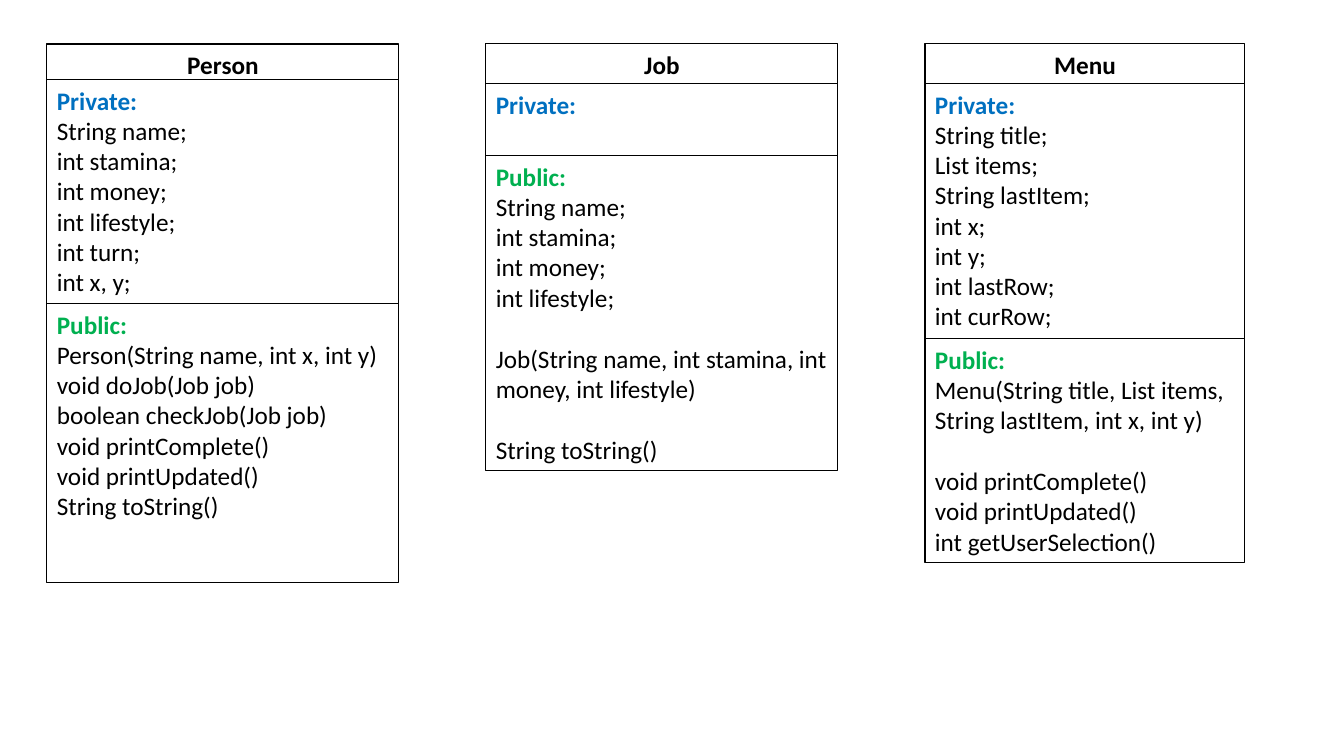
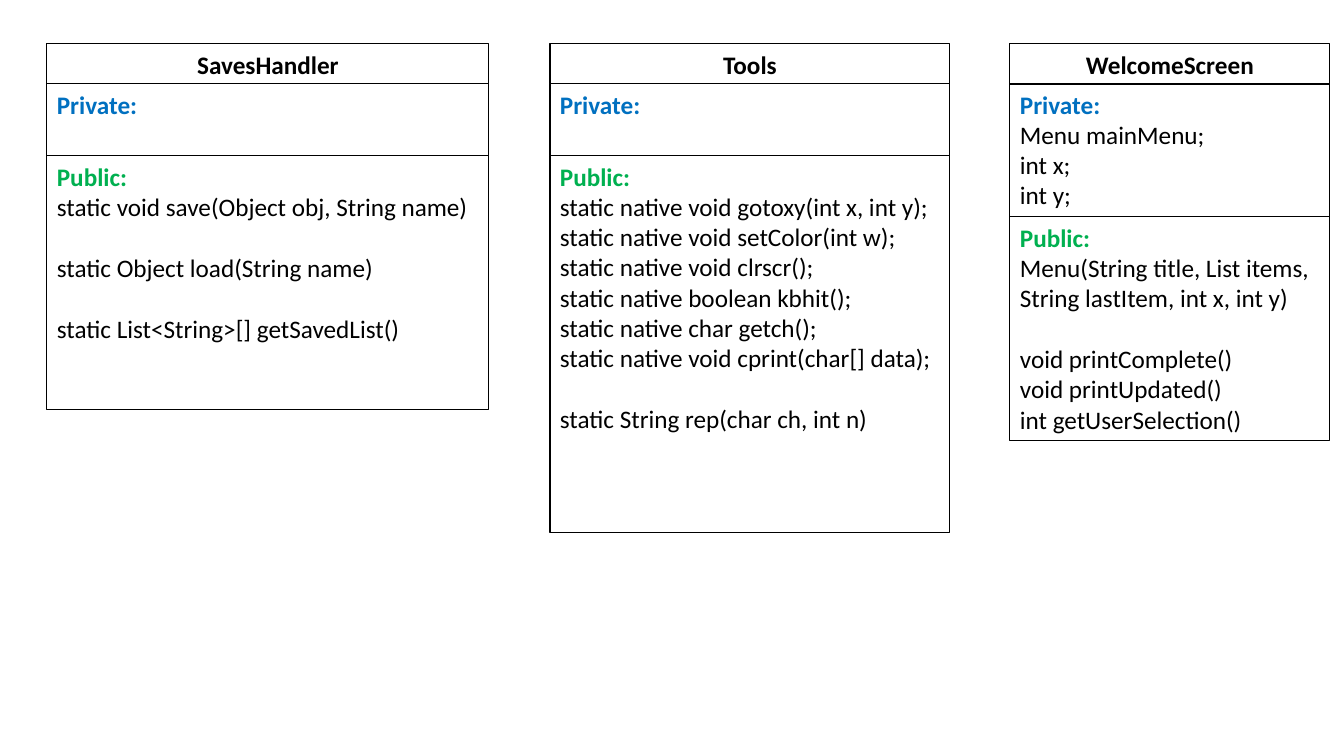
from pptx import Presentation
from pptx import util as u
from pptx.dml.color import RGBColor
from pptx.enum import shapes, text

PX = 914400 / 100.8  # EMU in one pixel
COLORS = {"ink": "000000", "private": "0070C0", "public": "00B050"}
FONT, SIZE = "Calibri", 18
BLANK_LINE = 22  # points, one line of text at SIZE
TOP = 44
GAP = ""  # marks one line of space above the next member


def px(value):
    return u.Emu(round(value * PX))


def color(name):
    return RGBColor.from_string(COLORS[name])


def style(para, ink, bold):
    para.font.name, para.font.size = FONT, u.Pt(SIZE)
    para.font.color.rgb, para.font.bold = color(ink), bold


def add_cell(group, left, top, width, height, heading, ink, members=(), centred=False):
    """One outlined compartment: a bold heading and its member lines."""
    box = group.shapes.add_shape(shapes.MSO_SHAPE.RECTANGLE,
                                 px(left), px(top), px(width), px(height))
    box.shadow.inherit = False
    box.fill.background()
    box.line.color.rgb, box.line.width = color("ink"), u.Pt(0.75)
    frame = box.text_frame
    frame.word_wrap = True
    frame.vertical_anchor = text.MSO_ANCHOR.TOP

    para = frame.paragraphs[0]
    para.text = heading
    para.alignment = text.PP_ALIGN.CENTER if centred else text.PP_ALIGN.LEFT
    style(para, ink, True)

    space = 0
    for member in members:
        if member == GAP:
            space = BLANK_LINE
            continue
        para = frame.add_paragraph()
        para.text = member
        para.alignment = text.PP_ALIGN.LEFT
        para.space_before = u.Pt(space)
        style(para, "ink", False)
        space = 0


def add_class(page, name, left, width, heights, private, public):
    """One class diagram: name, private and public compartments, stacked."""
    group = page.shapes.add_group_shape()
    title_height, private_height, public_height = heights
    top = TOP
    add_cell(group, left, top, width, title_height, name, "ink", centred=True)
    top += title_height
    add_cell(group, left, top, width, private_height, "Private:", "private", private)
    top += private_height
    add_cell(group, left, top, width, public_height, "Public:", "public", public)


MENU_METHODS = [
    "Menu(String title, List items, String lastItem, int x, int y)", GAP,
    "void printComplete()", "void printUpdated()", "int getUserSelection()",
]

# Each class: name, left, width, compartment heights, private and public members
PAGES = [
    [
        ("Person", 47, 352, (36, 224, 279),
         ["String name;", "int stamina;", "int money;", "int lifestyle;",
          "int turn;", "int x, y;"],
         ["Person(String name, int x, int y)", "void doJob(Job job)",
          "boolean checkJob(Job job)", "void printComplete()",
          "void printUpdated()", "String toString()"]),
        ("Job", 486, 352, (40, 72, 315),
         [],
         ["String name;", "int stamina;", "int money;", "int lifestyle;", GAP,
          "Job(String name, int stamina, int money, int lifestyle)", GAP,
          "String toString()"]),
        ("Menu", 925, 320, (40, 255, 224),
         ["String title;", "List items;", "String lastItem;", "int x;",
          "int y;", "int lastRow;", "int curRow;"],
         MENU_METHODS),
    ],
    [
        ("SavesHandler", 47, 442, (40, 72, 254),
         [],
         ["static void save(Object obj, String name)", GAP,
          "static Object load(String name)", GAP,
          "static List<String>[] getSavedList()"]),
        ("Tools", 550, 400, (40, 72, 377),
         [],
         ["static native void gotoxy(int x, int y);",
          "static native void setColor(int w);",
          "static native void clrscr();",
          "static native boolean kbhit();",
          "static native char getch();",
          "static native void cprint(char[] data);", GAP,
          "static String rep(char ch, int n)"]),
        ("WelcomeScreen", 1010, 320, (40, 133, 224),
         ["Menu mainMenu;", "int x;", "int y;"],
         MENU_METHODS),
    ],
]

deck = Presentation()
deck.slide_width, deck.slide_height = px(1344), px(756)
for classes in PAGES:
    page = deck.slides.add_slide(deck.slide_layouts[6])
    for diagram in classes:
        add_class(page, *diagram)
deck.save("out.pptx")
